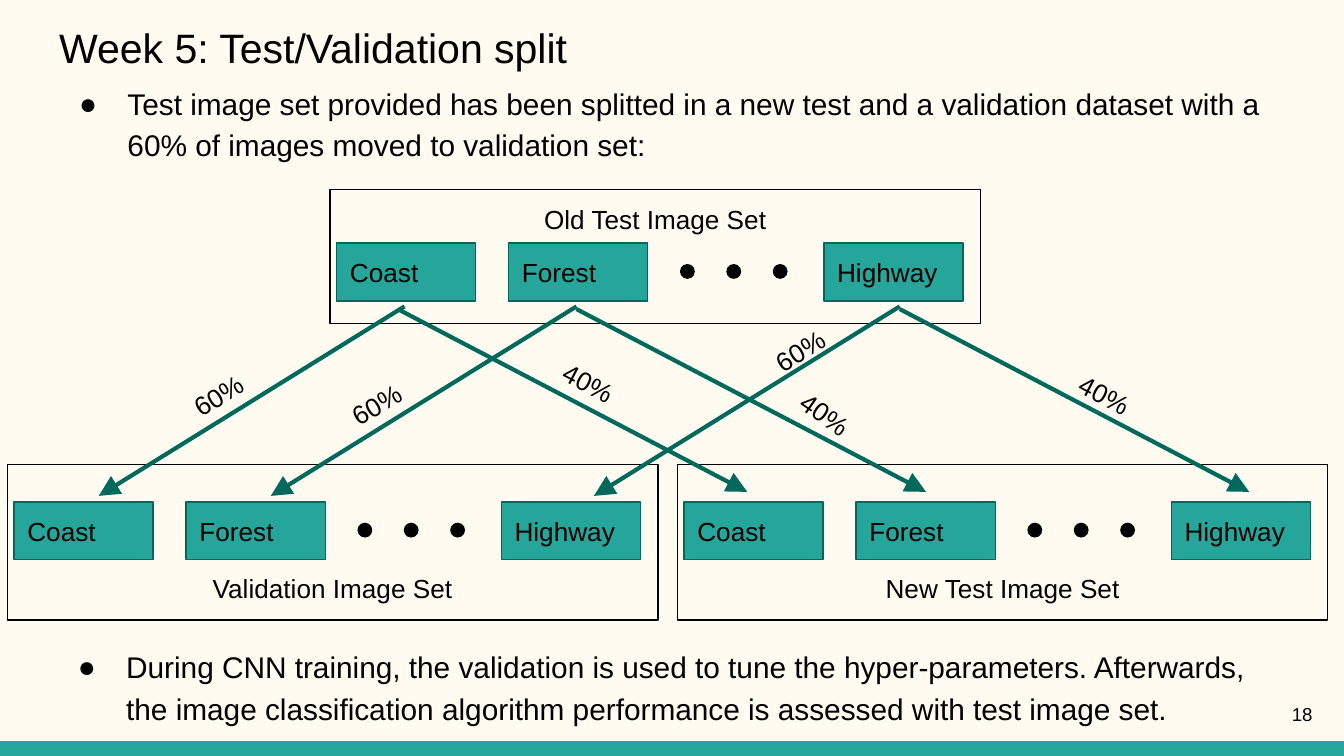
from dataclasses import dataclass
from typing import Optional

from lxml.etree import SubElement
from pptx import Presentation
from pptx.dml.color import RGBColor
from pptx.enum.shapes import MSO_CONNECTOR, MSO_SHAPE
from pptx.enum.text import MSO_ANCHOR, MSO_AUTO_SIZE, PP_ALIGN
from pptx.oxml.ns import qn
from pptx.util import Inches, Pt

CREAM = RGBColor(0xFF, 0xFB, 0xF0)
TEAL = RGBColor(0x26, 0xA6, 0x9A)
DARK_TEAL = RGBColor(0x00, 0x69, 0x5C)
BLACK = RGBColor(0x00, 0x00, 0x00)
FONT = "Arial"

# Grid of 100 columns by 56.25 rows, in square cells
COLUMNS, ROWS = 100, 56.25
CELL = Inches(10) / COLUMNS

# Positions inside an image set, in columns from its left edge
SET_WIDTH = 48.4
CLASS_COLUMNS = {"Coast": 0.5, "Forest": 13.3, "Highway": 36.75}
DOT_COLUMNS = (26.1, 29.55, 33)


@dataclass(frozen=True)
class ImageSet:
    name: str
    left: float
    top: float
    height: float
    class_row: float
    anchor: MSO_ANCHOR


@dataclass(frozen=True)
class Split:
    share: str
    start: float
    label_left: float
    label_top: float
    rotation: float


@dataclass(frozen=True)
class Flow:
    shift: float
    start_row: float
    end_row: float
    splits: tuple


OLD_SET = ImageSet("Old Test Image Set", 24.55, 14.1, 10, 4, MSO_ANCHOR.TOP)
NEW_SETS = (
    ImageSet("Validation Image Set", 0.55, 34.55, 11.6, 2.8, MSO_ANCHOR.BOTTOM),
    ImageSet("New Test Image Set", 50.4, 34.55, 11.6, 2.8, MSO_ANCHOR.BOTTOM),
)
FLOWS = (
    Flow(-22.75, 22.8, 36.9, (
        Split("60%", 30.1, 12.8, 26.7, 328.2),
        Split("60%", 42.9, 24.6, 27.4, 329.8),
        Split("60%", 66.95, 56.1, 23.4, 328.8),
    )),
    Flow(26, 23, 36.6, (
        Split("40%", 29.6, 41, 26.9, 27.5),
        Split("40%", 42.9, 58.6, 29.4, 34.9),
        Split("40%", 66.95, 79.4, 27.8, 27.5),
    )),
)
BULLETS = (
    (3.5, 5, 10, "Test image set provided has been splitted in a new test and a validation "
     "dataset with a 60% of images moved to validation set:"),
    (3.4, 46.9, 8.4, "During CNN training, the validation is used to tune the hyper-parameters. "
     "Afterwards, the image classification algorithm performance is assessed with test image set."),
)


def cells(*values: float) -> list[int]:
    return [round(value * CELL) for value in values]


def write(shape, text: str, *, size: float = 14, align=PP_ALIGN.LEFT,
          anchor=MSO_ANCHOR.TOP, bottom: float = 0.1, bullet: Optional[str] = None) -> None:
    frame = shape.text_frame
    frame.word_wrap = True
    frame.auto_size = MSO_AUTO_SIZE.NONE
    frame.vertical_anchor = anchor
    frame.margin_left = frame.margin_right = frame.margin_top = Inches(0.1)
    frame.margin_bottom = Inches(bottom)
    paragraph = frame.paragraphs[0]
    paragraph.alignment = align
    run = paragraph.add_run()
    run.text = text
    run.font.size = Pt(size)
    run.font.name = FONT
    run.font.color.rgb = BLACK
    if bullet:
        paragraph.line_spacing = 1.15
        properties = paragraph._p.get_or_add_pPr()
        properties.set("marL", str(Inches(0.5)))
        properties.set("indent", str(Inches(-0.36)))
        SubElement(properties, qn("a:buFont")).set("typeface", FONT)
        SubElement(properties, qn("a:buChar")).set("char", bullet)


def add_text(shapes, text: str, left: float, top: float, width: float, height: float, **style):
    box = shapes.add_textbox(*cells(left, top, width, height))
    write(box, text, **style)
    return box


def add_block(shapes, kind, left: float, top: float, width: float, height: float,
              fill: Optional[RGBColor] = None, line: Optional[RGBColor] = None):
    shape = shapes.add_shape(kind, *cells(left, top, width, height))
    shape.shadow.inherit = False
    if fill is None:
        shape.fill.background()
    else:
        shape.fill.solid()
        shape.fill.fore_color.rgb = fill
    if line is None:
        shape.line.fill.background()
    else:
        shape.line.color.rgb = line
        shape.line.width = Pt(0.75)
    return shape


def add_arrow(shapes, start: tuple[float, float], end: tuple[float, float]) -> None:
    arrow = shapes.add_connector(MSO_CONNECTOR.STRAIGHT, *cells(*start, *end))
    arrow.line.color.rgb = DARK_TEAL
    arrow.line.width = Pt(2.25)
    head = SubElement(arrow.line._get_or_add_ln(), qn("a:tailEnd"))
    head.set("type", "triangle")
    head.set("w", "lg")
    head.set("len", "lg")
    SubElement(arrow._element.spPr, qn("a:effectLst"))


def add_image_set(shapes, image_set: ImageSet) -> None:
    class_top = image_set.top + image_set.class_row
    for name, column in CLASS_COLUMNS.items():
        block = add_block(shapes, MSO_SHAPE.RECTANGLE, image_set.left + column, class_top,
                          10.35, 4.3, TEAL, DARK_TEAL)
        write(block, name, anchor=MSO_ANCHOR.MIDDLE)
    for column in DOT_COLUMNS:
        add_block(shapes, MSO_SHAPE.OVAL, image_set.left + column, class_top + 1.6,
                  1, 1, BLACK, BLACK)
    frame = add_block(shapes, MSO_SHAPE.RECTANGLE, image_set.left, image_set.top,
                      SET_WIDTH, image_set.height, line=BLACK)
    write(frame, image_set.name, align=PP_ALIGN.CENTER, anchor=image_set.anchor, bottom=0.12)


def main() -> None:
    presentation = Presentation()
    presentation.slide_width, presentation.slide_height = cells(COLUMNS, ROWS)
    slide = presentation.slides.add_slide(presentation.slide_layouts[5])
    shapes = slide.shapes
    slide.background.fill.solid()
    slide.background.fill.fore_color.rgb = CREAM

    # Bottom bar, title, bullets and page number
    add_block(shapes, MSO_SHAPE.RECTANGLE, 0, ROWS - 1.1, COLUMNS, 1.1, TEAL)
    title = shapes.title
    title.left, title.top, title.width, title.height = cells(3.4, 0.7, 93.2, 6.7)
    write(title, "Week 5: Test/Validation split", size=22)
    for left, top, height, text in BULLETS:
        add_text(shapes, text, left, top, 93.2, height, size=16, bullet="●")
    add_text(shapes, "18", 92.65, 51, 6, 4.3, size=10,
             align=PP_ALIGN.RIGHT, anchor=MSO_ANCHOR.MIDDLE)

    # Image sets
    add_image_set(shapes.add_group_shape().shapes, OLD_SET)
    for image_set in NEW_SETS:
        add_image_set(shapes, image_set)

    # Arrows from the old set to the new ones, with their shares
    for flow in FLOWS:
        for split in flow.splits:
            add_arrow(shapes, (split.start, flow.start_row),
                      (split.start + flow.shift, flow.end_row))
            label = add_text(shapes, split.share, split.label_left, split.label_top, 8.2, 3.1)
            label.rotation = split.rotation

    presentation.save("out.pptx")


if __name__ == "__main__":
    main()
